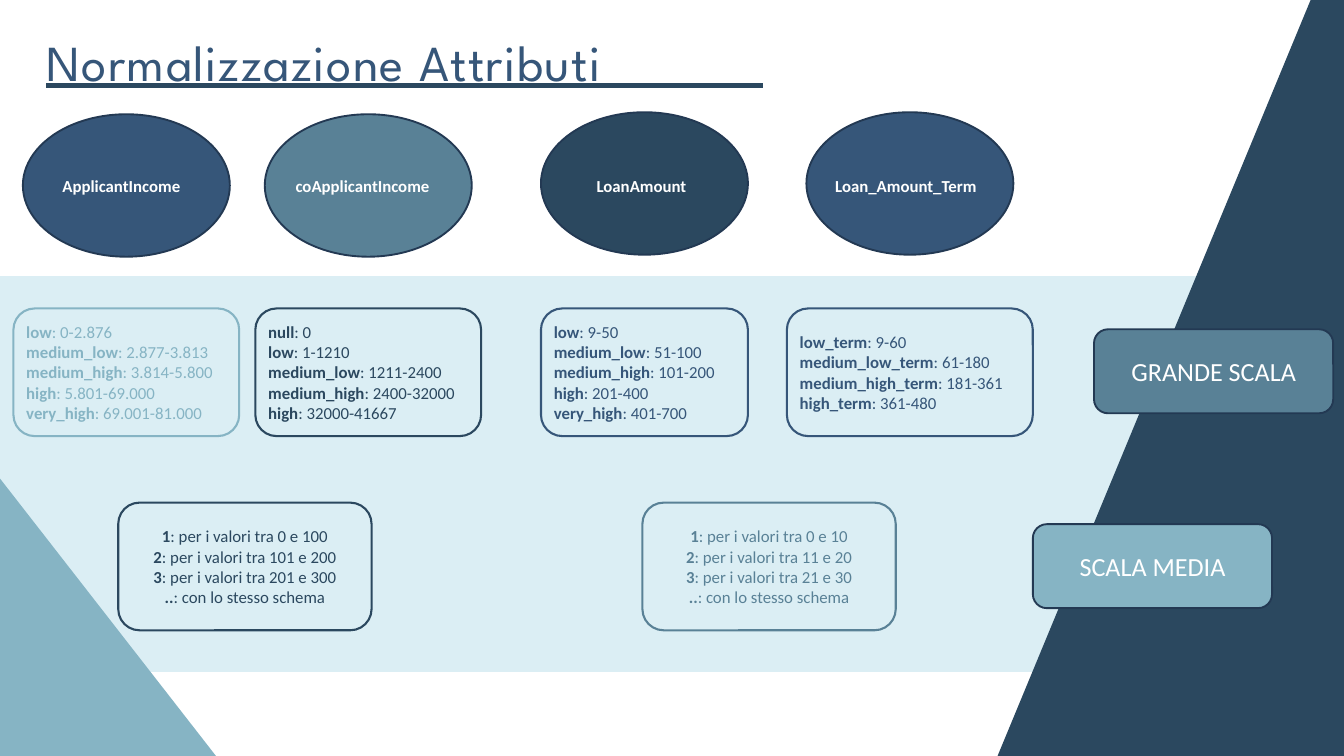
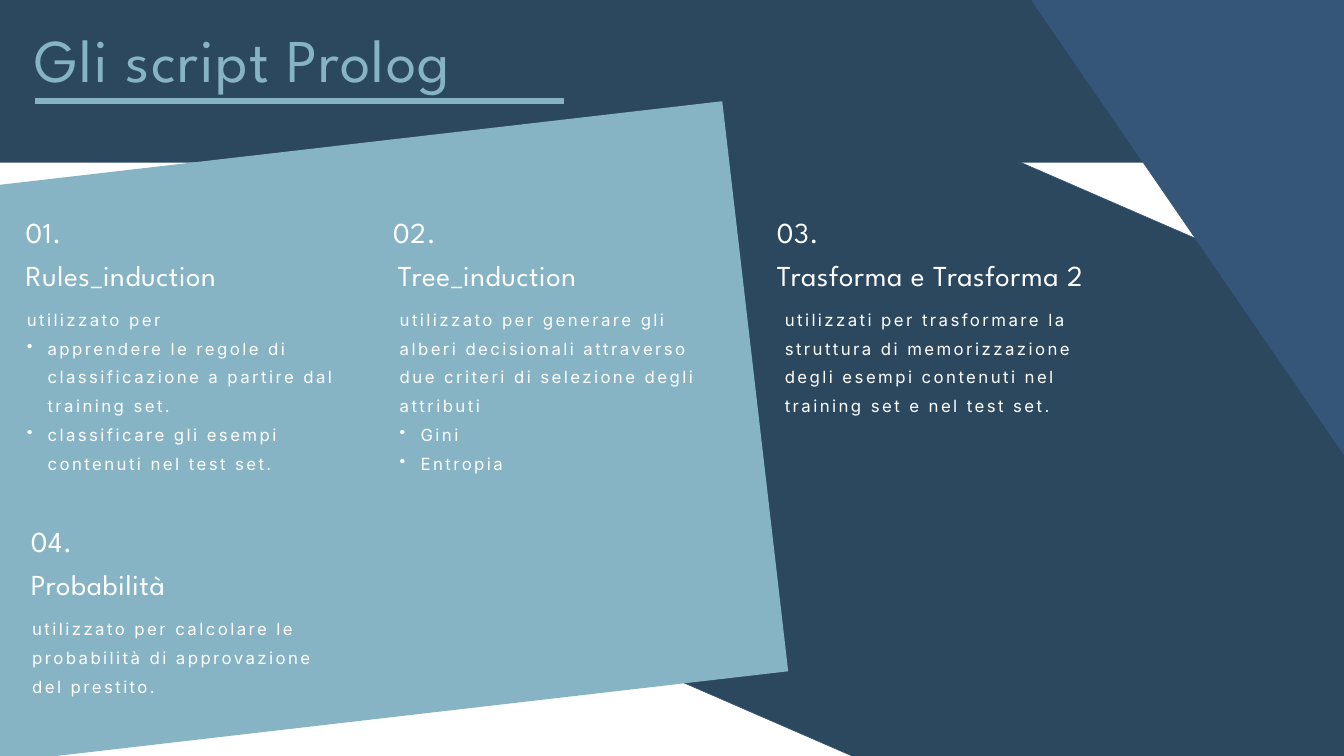
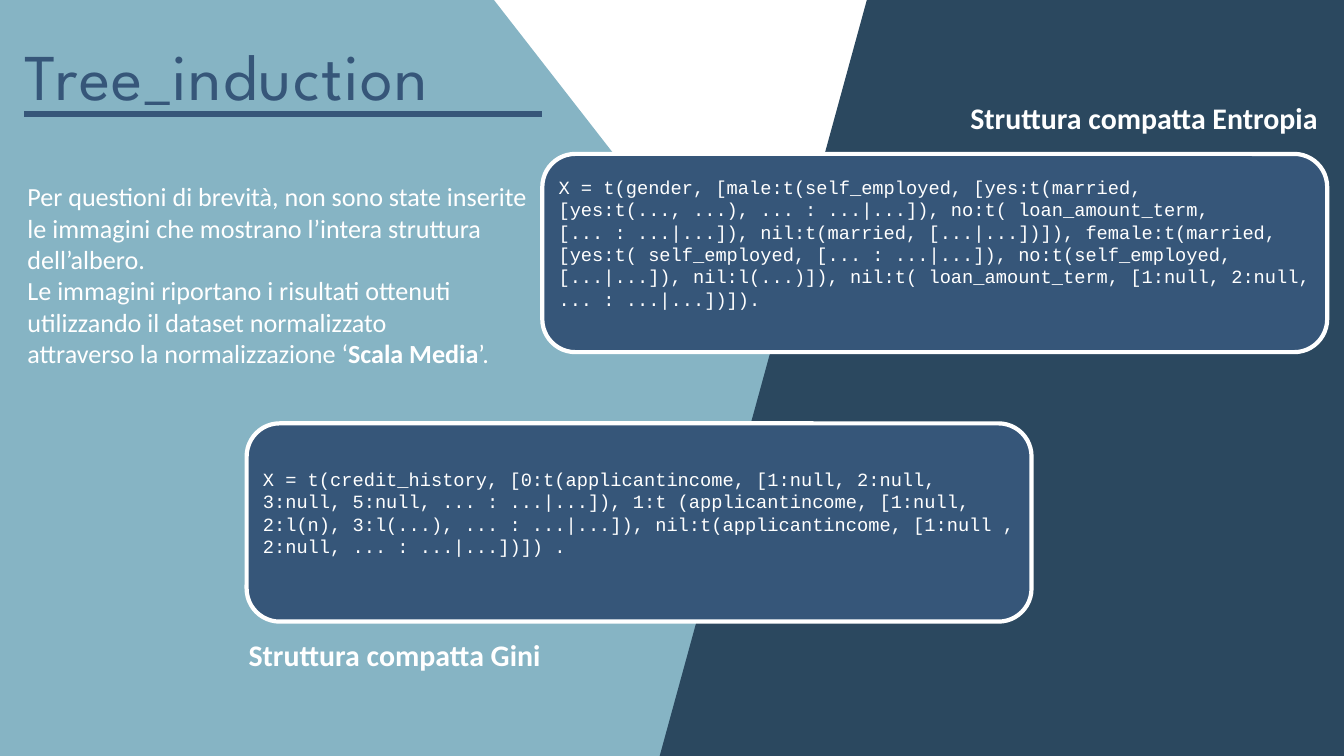
import dataclasses

import lxml.etree
import pptx
import pptx.dml.color
import pptx.enum.shapes
import pptx.enum.text
import pptx.oxml.ns
import pptx.util

SHAPE = pptx.enum.shapes.MSO_SHAPE
ALIGN = pptx.enum.text.PP_ALIGN
ANCHOR = pptx.enum.text.MSO_ANCHOR
FIT = pptx.enum.text.MSO_AUTO_SIZE
COLUMNS, ROWS = 20, 11.25


@dataclasses.dataclass(frozen=True)
class TextStyle:
    size: float
    face: str = "Calibri"
    bold: bool = False
    tracking: float = 0
    leading: float = 0
    inset: bool = True


@dataclasses.dataclass(frozen=True)
class Theme:
    white: str = "FFFFFF"
    ice: str = "DBEEF4"
    sky: str = "86B4C4"
    teal: str = "598196"
    blue: str = "365679"
    navy: str = "2B485F"
    outline: str = "233953"
    attributes_title: TextStyle = TextStyle(54, "League Spartan", False, 1.5, 83.3, False)
    scripts_title: TextStyle = TextStyle(65, "League Spartan", False, 1.6, 84.6, False)
    tree_title: TextStyle = TextStyle(70, "League Spartan", False, 1.7, 91, False)
    heading: TextStyle = TextStyle(31, "League Spartan", False, 0.7, 40.3, False)
    description: TextStyle = TextStyle(18, "Inter", False, 2.6, 30.8)
    small: TextStyle = TextStyle(18)
    label: TextStyle = TextStyle(18, bold=True)
    large: TextStyle = TextStyle(28)
    caption: TextStyle = TextStyle(32, bold=True)
    code: TextStyle = TextStyle(20, "Courier New")


THEME = Theme()


class Deck:
    def __init__(self, theme):
        self.theme = theme
        self.presentation = pptx.Presentation()
        self.presentation.slide_width = pptx.util.Inches(20)
        self.presentation.slide_height = pptx.util.Inches(11.25)
        self.slide = None

    def new_slide(self):
        self.slide = self.presentation.slides.add_slide(self.presentation.slide_layouts[6])

    def x(self, columns):
        return round(self.presentation.slide_width * columns / COLUMNS)

    def y(self, rows):
        return round(self.presentation.slide_height * rows / ROWS)

    def frame(self, left, top, width, height):
        return self.x(left), self.y(top), self.x(width), self.y(height)

    @staticmethod
    def apply(target, values):
        for attribute, value in values.items():
            setattr(target, attribute, value)

    @staticmethod
    def rgb(color):
        return pptx.dml.color.RGBColor.from_string(color)

    def paint(self, shape, fill, line=None, weight=0):
        shape.shadow.inherit = False
        if fill:
            shape.fill.solid()
            shape.fill.fore_color.rgb = self.rgb(fill)
        else:
            shape.fill.background()
        if line:
            shape.line.color.rgb = self.rgb(line)
            shape.line.width = pptx.util.Pt(weight)
        else:
            shape.line.fill.background()

    def shape(self, kind, box, fill=None, line=None, weight=0, rotation=0):
        shape = self.slide.shapes.add_shape(kind, *self.frame(*box))
        shape.rotation = rotation
        self.paint(shape, fill, line, weight)
        return shape

    def panel(self, box, fill, rotation=0, line=None):
        return self.shape(SHAPE.RECTANGLE, box, fill, line, 0.75, rotation)

    def slanted(self, points, fill):
        corners = [(self.x(column), self.y(row)) for column, row in points]
        builder = self.slide.shapes.build_freeform(*corners[0])
        builder.add_line_segments(corners[1:], close=True)
        self.paint(builder.convert_to_shape(), fill)

    def fill_text(self, frame, paragraphs, style, color, align=ALIGN.LEFT):
        for index, content in enumerate(paragraphs):
            paragraph = frame.paragraphs[0] if index == 0 else frame.add_paragraph()
            paragraph.alignment = align
            if style.leading:
                paragraph.line_spacing = pptx.util.Pt(style.leading)
            if content.startswith("•"):
                content = content[1:]
                self.bullet(paragraph)
            for part, words in enumerate(content.split("*")):
                if words:
                    run = paragraph.add_run()
                    run.text = words
                    self.apply(run.font, {
                        "size": pptx.util.Pt(style.size),
                        "name": style.face,
                        "bold": style.bold or part % 2 == 1,
                    })
                    run.font.color.rgb = self.rgb(color)
                    if style.tracking:
                        run.font._element.set("spc", str(round(style.tracking * 100)))

    def bullet(self, paragraph):
        properties = paragraph._p.get_or_add_pPr()
        indent = self.x(0.31)
        properties.set("marL", str(indent))
        properties.set("indent", str(-indent))
        mark = lxml.etree.SubElement(properties, pptx.oxml.ns.qn("a:buChar"))
        mark.set("char", "•")

    def text(self, box, paragraphs, style, color=THEME.white, wrap=True):
        frame = self.slide.shapes.add_textbox(*self.frame(*box)).text_frame
        self.apply(frame, {"word_wrap": wrap, "auto_size": FIT.SHAPE_TO_FIT_TEXT})
        if not style.inset:
            self.apply(frame, dict.fromkeys(
                ("margin_left", "margin_top", "margin_right", "margin_bottom"), 0))
        self.fill_text(frame, paragraphs, style, color)

    def card(self, box, paragraphs, style, color, line, weight, fill=None,
             align=ALIGN.LEFT, bottom=0.05):
        card = self.shape(SHAPE.ROUNDED_RECTANGLE, box, fill, line, weight)
        self.apply(card.text_frame, {
            "word_wrap": True,
            "vertical_anchor": ANCHOR.MIDDLE,
            "margin_bottom": self.y(bottom),
        })
        self.fill_text(card.text_frame, paragraphs, style, color, align)

    def rule(self, left, right, row, color, weight):
        rule = self.slide.shapes.add_connector(
            pptx.enum.shapes.MSO_CONNECTOR.STRAIGHT,
            self.x(left), self.y(row), self.x(right), self.y(row))
        rule.line.color.rgb = self.rgb(color)
        rule.line.width = pptx.util.Pt(weight)
        lxml.etree.SubElement(rule._element.spPr, pptx.oxml.ns.qn("a:effectLst"))

    def title(self, box, words, style, color, rule_right, rule_row, rule_color, weight=6):
        self.text(box, [words], style, color)
        self.rule(box[0], rule_right, rule_row, rule_color, weight)


def attributes_slide(deck):
    theme = deck.theme
    deck.new_slide()
    deck.panel((-1.05, 4.11, 22.18, 5.89), theme.ice)
    deck.panel((-10.77, 7.92, 17.77, 10.26), theme.sky, 232.1)
    deck.slanted([(19.59, -0.21), (30.31, -0.21), (24.91, 12.83), (14.19, 12.83)], theme.navy)
    deck.title((0.69, 0.2, 13.51, 1.1), "Normalizzazione Attributi",
               theme.attributes_title, theme.blue, 11.36, 1.27, theme.navy)

    oval_width, oval_height = 3.08, 2.12
    attributes = [
        ("ApplicantIncome", 2.1, 0.34, 1.7, theme.blue),
        ("coApplicantIncome", 2.36, 3.94, 1.7, theme.teal),
        ("LoanAmount", 1.62, 8.05, 1.67, theme.navy),
        ("Loan_Amount_Term", 2.42, 12, 1.67, theme.blue),
    ]
    for name, name_width, left, top, fill in attributes:
        deck.shape(SHAPE.OVAL, (left, top, oval_width, oval_height), fill, theme.outline, 2)
        name_left = left + (oval_width - name_width) / 2
        deck.text((name_left, 2.57, name_width, 0.4), [name], theme.label, wrap=False)

    for scale, left, top, fill in [("GRANDE SCALA", 16.28, 4.9, theme.teal),
                                   ("SCALA MEDIA", 15.37, 7.8, theme.sky)]:
        deck.card((left, top, 3.56, 1.25), [scale], theme.large, theme.white,
                  theme.outline, 2, fill, ALIGN.CENTER)

    large_scale = [
        (0.2, 3.36, theme.sky, {
            "low": "0-2.876", "medium_low": "2.877-3.813", "medium_high": "3.814-5.800",
            "high": "5.801-69.000", "very_high": "69.001-81.000"}),
        (3.8, 3.36, theme.navy, {
            "null": "0", "low": "1-1210", "medium_low": "1211-2400",
            "medium_high": "2400-32000", "high": "32000-41667"}),
        (8.05, 3.08, theme.blue, {
            "low": "9-50", "medium_low": "51-100", "medium_high": "101-200",
            "high": "201-400", "very_high": "401-700"}),
        (11.71, 3.66, theme.blue, {
            "low_term": "9-60", "medium_low_term": "61-180",
            "medium_high_term": "181-361", "high_term": "361-480"}),
    ]
    for left, width, color, ranges in large_scale:
        deck.card((left, 4.59, width, 1.9),
                  [f"*{level}*: {values}" for level, values in ranges.items()],
                  theme.small, color, color, 2.25)

    medium_scale = [
        (1.76, theme.navy, ("0 e 100", "101 e 200", "201 e 300")),
        (9.56, theme.teal, ("0 e 10", "11 e 20", "21 e 30")),
    ]
    for left, color, ranges in medium_scale:
        steps = [f"*{step}*: per i valori tra {values}"
                 for step, values in enumerate(ranges, 1)]
        deck.card((left, 7.48, 3.77, 1.9), steps + ["*..*: con lo stesso schema"],
                  theme.small, color, color, 2.25, align=ALIGN.CENTER)


def scripts_slide(deck):
    theme = deck.theme
    deck.new_slide()
    deck.panel((9.06, 3.58, 15.71, 9.1), theme.navy, 23.5, theme.blue)
    deck.panel((0, -2.89, 20, 5.31), theme.navy)
    deck.panel((-10.13, 2.71, 21.44, 8.54), theme.sky, 353.4)
    deck.panel((16.31, -11.4, 9.34, 22.69), theme.blue, 325.5, theme.blue)
    deck.title((0.52, 0.23, 9.45, 1.19), "Gli script Prolog",
               theme.scripts_title, theme.sky, 8.39, 1.5, theme.sky)

    scripts = [
        ("Rules_induction", 3.15, (0.38, 0.38, 0.3), 4.08, 2.66, [
            "utilizzato per",
            "•apprendere le regole di classificazione a partire dal training set.",
            "•classificare gli esempi contenuti nel test set."]),
        ("Tree_induction", 3.15, (5.85, 5.92, 5.85), 5.66, 2.66, [
            "utilizzato per generare gli alberi decisionali attraverso due criteri "
            "di selezione degli attributi",
            "•Gini",
            "•Entropia"]),
        ("Trasforma e Trasforma 2", 3.15, (11.56, 11.56, 11.58), 6.69, 1.79, [
            "utilizzati per trasformare la struttura di memorizzazione degli esempi "
            "contenuti nel training set e nel test set."]),
        ("Probabilità", 7.75, (0.46, 0.46, 0.38), 4.08, 1.36, [
            "utilizzato per calcolare le probabilità di approvazione del prestito."]),
    ]
    for number, (name, top, lefts, name_width, use_height, use) in enumerate(scripts, 1):
        number_left, name_left, use_left = lefts
        deck.text((number_left, top, 1.07, 0.56), [f"{number:02}."], theme.heading)
        deck.text((name_left, top + 0.64, name_width, 0.56), [name], theme.heading)
        deck.text((use_left, top + 1.28, 4.91, use_height), use, theme.description)


def tree_slide(deck):
    theme = deck.theme
    deck.new_slide()
    deck.panel((-4.79, -0.02, 17.77, 13.26), theme.sky, 232.1)
    deck.slanted([(12.9, 0), (23.22, 0), (19.99, 11.75), (9.68, 11.75)], theme.navy)
    deck.title((0.36, 0.42, 8.27, 1.28), "Tree_induction",
               theme.tree_title, theme.blue, 8.07, 1.7, theme.blue, 6.75)

    structures = [
        ("Entropia", (14.34, 1.44, 5.68, 0.64), (8.07, 2.29),
         "X = t(gender, [male:t(self_employed, [yes:t(married, [yes:t(..., ...), "
         "... : ...|...]), no:t( loan_amount_term, [... : ...|...]), nil:t(married, "
         "[...|...])]), female:t(married, [yes:t( self_employed, [... : ...|...]), "
         "no:t(self_employed, [...|...]), nil:l(...)]), nil:t( loan_amount_term, "
         "[1:null, 2:null, ... : ...|...])])."),
        ("Gini", (3.6, 9.43, 4.88, 0.64), (3.67, 6.3),
         "X = t(credit_history, [0:t(applicantincome, [1:null, 2:null, 3:null, 5:null, "
         "... : ...|...]), 1:t (applicantincome, [1:null, 2:l(n), 3:l(...), "
         "... : ...|...]), nil:t(applicantincome, [1:null , 2:null, "
         "... : ...|...])]) ."),
    ]
    for criterion, caption_box, corner, tree in structures:
        deck.card((*corner, 11.68, 2.95), [tree], theme.code, theme.white,
                  theme.white, 4.5, theme.blue, bottom=0.35)
        deck.text(caption_box, [f"Struttura compatta {criterion}"], theme.caption, wrap=False)

    deck.text((0.31, 2.64, 7.7, 3.4), [
        "Per questioni di brevità, non sono state inserite le immagini che mostrano "
        "l’intera struttura dell’albero.",
        "Le immagini riportano i risultati ottenuti utilizzando il dataset normalizzato",
        "attraverso la normalizzazione ‘*Scala Media*’.",
    ], theme.large)


def main():
    deck = Deck(THEME)
    attributes_slide(deck)
    scripts_slide(deck)
    tree_slide(deck)
    deck.presentation.save("out.pptx")


if __name__ == "__main__":
    main()
